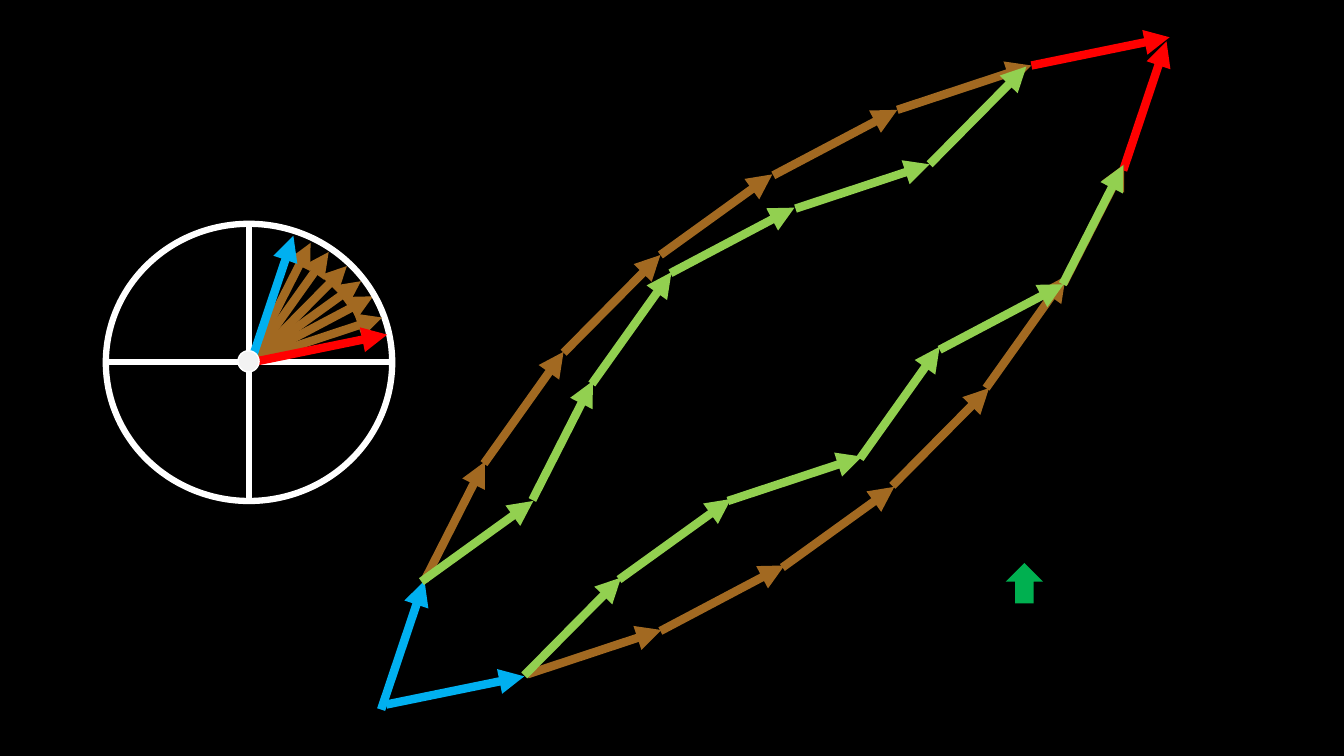
from lxml.etree import SubElement
from pptx import Presentation
from pptx.dml.color import RGBColor
from pptx.enum.shapes import MSO_CONNECTOR, MSO_SHAPE
from pptx.oxml.ns import qn
from pptx.util import Inches, Pt

BLACK = RGBColor(0x00, 0x00, 0x00)
WHITE = RGBColor(0xFF, 0xFF, 0xFF)
PALE = RGBColor(0xF2, 0xF2, 0xF2)
BROWN = RGBColor(0xA2, 0x69, 0x21)
RED = RGBColor(0xFF, 0x00, 0x00)
BLUE = RGBColor(0x00, 0xB0, 0xF0)
LIME = RGBColor(0x92, 0xD0, 0x50)
GREEN = RGBColor(0x00, 0xB0, 0x50)

# Every arrow is one of eight steps (across, down), from flattest to steepest
STEPS = [(1.37, -0.28), (1.33, -0.44), (1.23, -0.65), (1.11, -0.8),
         (0.96, -0.97), (0.79, -1.11), (0.6, -1.18), (0.43, -1.28)]

# Arrows as (colour, step, start x, start y), from back to front
FAN_BEHIND_CIRCLE = [(BROWN, 2, 2.47, 3.59), (BROWN, 3, 2.47, 3.59)]
FAN = [
    (BROWN, 4, 2.48, 3.61), (BROWN, 5, 2.47, 3.61), (BROWN, 6, 2.48, 3.59),
    (BROWN, 1, 2.46, 3.59), (RED, 0, 2.47, 3.6), (BLUE, 7, 2.48, 3.62),
]
UPPER_PATHS = [
    (RED, 0, 10.23, 0.65), (BROWN, 1, 8.9, 1.09), (BROWN, 2, 7.67, 1.74),
    (BROWN, 3, 6.55, 2.53), (BROWN, 4, 5.59, 3.5), (BROWN, 5, 4.8, 4.6),
    (BROWN, 6, 4.21, 5.76), (BLUE, 7, 3.78, 7.04),
    (LIME, 3, 4.18, 5.77), (LIME, 5, 5.87, 3.81), (LIME, 6, 5.28, 4.96),
    (LIME, 1, 7.89, 2.07), (LIME, 2, 6.65, 2.71), (LIME, 4, 9.22, 1.63),
]
LOWER_PATHS = [
    (BLUE, 0, 3.83, 6.99), (LIME, 1, 7.22, 4.97), (LIME, 3, 6.14, 5.75),
    (LIME, 5, 8.53, 4.55), (RED, 7, 11.14, 1.69),
    (BROWN, 1, 5.23, 6.69), (BROWN, 2, 6.55, 6.26), (BROWN, 3, 7.76, 5.63),
    (BROWN, 4, 8.85, 4.82), (BROWN, 5, 9.78, 3.85), (BROWN, 6, 10.55, 2.81),
    (LIME, 6, 10.54, 2.82), (LIME, 2, 9.32, 3.47), (LIME, 4, 5.2, 6.7),
]


def add_line(slide, start, end, color, width):
    points = [Inches(value) for value in (*start, *end)]
    connector = slide.shapes.add_connector(MSO_CONNECTOR.STRAIGHT, *points)
    connector.line.color.rgb = color
    connector.line.width = Pt(width)
    SubElement(connector._element.spPr, qn("a:effectLst"))
    return connector


def add_arrows(slide, arrows):
    for color, step, x, y in arrows:
        across, down = STEPS[step]
        connector = add_line(slide, (x, y), (x + across, y + down), color, 6)
        SubElement(connector.line._get_or_add_ln(), qn("a:tailEnd"), type="triangle")


def add_figure(slide, kind, box, fill=None, line=None, width=1):
    shape = slide.shapes.add_shape(kind, *[Inches(value) for value in box])
    shape.shadow.inherit = False
    if fill is None:
        shape.fill.background()
    else:
        shape.fill.solid()
        shape.fill.fore_color.rgb = fill
    if line is None:
        shape.line.fill.background()
    else:
        shape.line.color.rgb = line
        shape.line.width = Pt(width)
    return shape


def main():
    presentation = Presentation()
    presentation.slide_width = Inches(13.33)
    presentation.slide_height = Inches(7.5)
    slide = presentation.slides.add_slide(presentation.slide_layouts[6])
    slide.background.fill.solid()
    slide.background.fill.fore_color.rgb = BLACK

    # Circle with its cross and the fan of directions
    add_arrows(slide, FAN_BEHIND_CIRCLE)
    add_figure(slide, MSO_SHAPE.OVAL, (1.05, 2.22, 2.84, 2.75), line=WHITE, width=4.5)
    add_line(slide, (2.47, 2.22), (2.47, 4.96), WHITE, 4.5)
    add_line(slide, (1.05, 3.59), (3.89, 3.59), WHITE, 4.5)
    add_arrows(slide, FAN)
    add_figure(slide, MSO_SHAPE.OVAL, (2.36, 3.48, 0.21, 0.21), fill=PALE, line=WHITE)

    # Paths made of the same steps in different orders
    add_arrows(slide, UPPER_PATHS)
    add_arrows(slide, LOWER_PATHS)

    # Upward marker
    marker = add_figure(slide, MSO_SHAPE.RIGHT_ARROW, (9.96, 5.6, 0.4, 0.37), fill=GREEN)
    marker.rotation = 270

    presentation.save("out.pptx")


if __name__ == "__main__":
    main()
